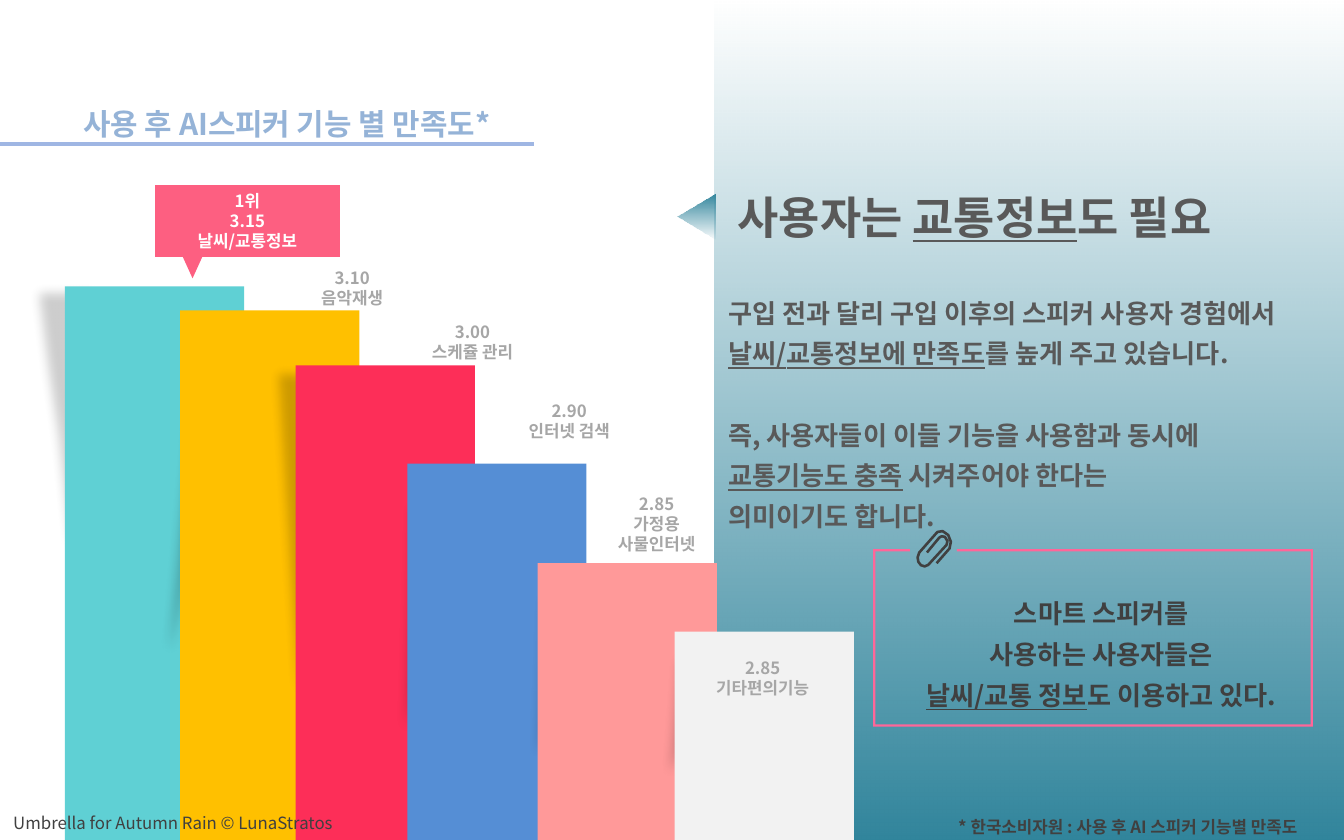
import pptx
import pptx.util
import pptx.dml.color
import pptx.enum.shapes
import pptx.enum.text
import pptx.oxml.ns
import lxml.etree

Pt = pptx.util.Pt
RGB = pptx.dml.color.RGBColor
KIND = pptx.enum.shapes.MSO_SHAPE
ALIGN = pptx.enum.text.PP_ALIGN
FIT = pptx.enum.text.MSO_AUTO_SIZE
qn = pptx.oxml.ns.qn

FONT = "Noto Sans CJK KR"
WIDE, HIGH = 720, 450
BLACK, WHITE = RGB(0, 0, 0), RGB(255, 255, 255)
DARK, GRAY, PALE = RGB(0x40, 0x40, 0x40), RGB(0x59, 0x59, 0x59), RGB(0xA6, 0xA6, 0xA6)
TEAL, SKY, RULE = RGB(0x31, 0x85, 0x9C), RGB(0x95, 0xB3, 0xD7), RGB(0x9F, 0xB6, 0xE3)
PINK, ROSE = RGB(0xFD, 0x5F, 0x81), RGB(0xFF, 0x66, 0x99)

# left, top, colour, shadow (left, top, width, height, turn)
BAR = 96
BARS = [
    (34.8, 153.4, RGB(0x5F, 0xD0, 0xD4), None),
    (96.5, 166.3, RGB(0xFF, 0xC0, 0x00), (67.7, 182.2, 41.8, 241.9, 194.7)),
    (158.4, 195.8, RGB(0xFD, 0x2E, 0x58), (133.9, 194.4, 34.6, 272.2, 183.8)),
    (218.2, 248.4, RGB(0x55, 0x8E, 0xD5), (191.5, 265, 41.8, 180, 194.7)),
    (288, 301.7, RGB(0xFF, 0x99, 0x99), (262.1, 313.2, 41.8, 132.5, 199.7)),
    (361.4, 338.4, RGB(0xF2, 0xF2, 0xF2), (333.4, 345.6, 41.8, 99.4, 207.2)),
]
# left, top, width, height, lines
LABELS = [
    (164.9, 140.4, 47.5, 27.4, ["3.10", "음악재생"]),
    (223.2, 169.2, 59.8, 27.4, ["3.00", "스케쥴 관리"]),
    (275, 211.7, 59.8, 27.4, ["2.90", "인터넷 검색"]),
    (323.3, 261.4, 56.9, 38.2, ["2.85", "가정용", "사물인터넷"]),
    (375.8, 349.2, 65.5, 27.4, ["2.85", "기타편의기능"]),
]
# Words between underscores are underlined
TITLE = ["사용 후 AI스피커 기능 별 만족도*"]
FIRST = ["1위", "3.15", "날씨/교통정보"]
HEAD = ["사용자는 _교통정보_도 필요"]
BODY = [
    "구입 전과 달리 구입 이후의 스피커 사용자 경험에서",
    "_날씨/교통정보에 만족도_를 높게 주고 있습니다.",
    "즉, 사용자들이 이들 기능을 사용함과 동시에",
    "_교통기능도 충족_ 시켜주어야 한다는",
    "의미이기도 합니다.",
]
NOTE = ["스마트 스피커를", "사용하는 사용자들은", "_날씨/교통 정보_도 이용하고 있다."]
SOURCE = ["* 한국소비자원 : 사용 후 AI 스피커 기능별 만족도"]
CREDIT = ["Umbrella for Autumn Rain © LunaStratos"]

SHADE = [(55.4, 151.2), (36.7, 385.9), (31.5, 295), (25.7, 240), (19.7, 199.5), (13.7, 151.2)]
CLIP = [
    (501.8, 301.7), (508.7, 293.8), (509.4, 290.2), (508, 286.6), (505, 284.5),
    (502.2, 285), (492.5, 296), (491.6, 298.6), (492, 301), (493.4, 302.8),
    (495.4, 303.4), (497.3, 302.6), (507.1, 291.9), (507.6, 289.9), (506.2, 287.6),
    (504.5, 287.3), (503.2, 288), (496.6, 296),
]


def put(page, kind, box, color, turn=0):
    shape = page.shapes.add_shape(kind, *map(Pt, box))
    shape.rotation = turn
    shape.shadow.inherit = False
    shape.line.fill.background()
    shape.fill.solid()
    shape.fill.fore_color.rgb = color
    return shape


def trace(page, dots, closed=True):
    dots = [(Pt(x), Pt(y)) for x, y in dots]
    path = page.shapes.build_freeform(*dots[0])
    path.add_line_segments(dots[1:], close=closed)
    shape = path.convert_to_shape()
    shape.shadow.inherit = False
    return shape


def soften(shape):
    """Make a shape a faint black shadow with blurred edges."""
    shape.line.fill.background()
    shape.fill.solid()
    shape.fill.fore_color.rgb = BLACK
    props = shape._element.spPr
    tone = props.find(qn("a:solidFill"))[0]
    lxml.etree.SubElement(tone, qn("a:alpha"), val="20000")
    edge = props.find(qn("a:effectLst"))
    lxml.etree.SubElement(edge, qn("a:softEdge"), rad=str(int(Pt(6))))


def fade(shape, start, end, angle):
    """Fill with teal that runs from one opacity to another."""
    fill = shape.fill
    fill.gradient()
    fill.gradient_angle = angle
    for place, stop in enumerate(fill.gradient_stops):
        stop.position = place
        stop.color.rgb = TEAL
    tones = shape._element.spPr.iter(qn("a:srgbClr"))
    for tone, alpha in zip(list(tones), (start, end)):
        lxml.etree.SubElement(tone, qn("a:alpha"), val=str(alpha * 1000))


def write(frame, lines, size, color, bold=True, align=None, space=None):
    for i, line in enumerate(lines):
        para = frame.paragraphs[0] if i == 0 else frame.add_paragraph()
        para.alignment = align
        para.line_spacing = space
        for j, part in enumerate(line.split("_")):
            if not part:
                continue
            run = para.add_run()
            run.text = part
            font = run.font
            font.name, font.size, font.bold = FONT, Pt(size), bold
            font.color.rgb = color
            font.underline = j % 2 == 1
            lxml.etree.SubElement(run._r.get_or_add_rPr(), qn("a:ea"), typeface=FONT)


def text(page, box, lines, size, color, wrap=True, slim=False, **look):
    frame = page.shapes.add_textbox(*map(Pt, box)).text_frame
    frame.word_wrap = wrap
    frame.auto_size = FIT.SHAPE_TO_FIT_TEXT
    if slim:
        frame.margin_left = frame.margin_right = Pt(5.76)
        frame.margin_top = frame.margin_bottom = Pt(2.88)
    write(frame, lines, size, color, **look)
    return frame


def main():
    deck = pptx.Presentation()
    deck.slide_width, deck.slide_height = Pt(WIDE), Pt(HIGH)
    page = deck.slides.add_slide(deck.slide_layouts[6])

    edge = 383
    panel = put(page, KIND.RECTANGLE, (edge, 0, WIDE - edge, HIGH), TEAL)
    fade(panel, 0, 100, 270)
    mark = put(page, KIND.ISOSCELES_TRIANGLE, (360.9, 105.9, 24.5, 20.2), TEAL, 270)
    fade(mark, 100, 0, 180)

    soften(trace(page, SHADE))
    for left, top, color, shade in BARS:
        if shade:
            soften(put(page, KIND.RIGHT_TRIANGLE, shade[:4], BLACK, shade[4]))
        put(page, KIND.RECTANGLE, (left, top, BAR, HIGH - top), color)
    for *box, lines in LABELS:
        text(page, box, lines, 9, PALE, wrap=False, slim=True, align=ALIGN.CENTER)

    rule = page.shapes.add_connector(
        pptx.enum.shapes.MSO_CONNECTOR.STRAIGHT, Pt(0), Pt(77), Pt(286), Pt(77))
    rule.line.color.rgb, rule.line.width = RULE, Pt(2.25)
    lxml.etree.SubElement(rule._element.spPr, qn("a:effectLst"))
    text(page, (38.9, 43.9, 270, 31), TITLE, 16, SKY, slim=True, space=1.5)

    put(page, KIND.ISOSCELES_TRIANGLE, (95.6, 132.5, 15.1, 16.6), PINK, 180)
    first = put(page, KIND.FLOWCHART_PROCESS, (82.8, 98.9, 99.4, 38.9), PINK).text_frame
    first.vertical_anchor = pptx.enum.text.MSO_ANCHOR.MIDDLE
    write(first, FIRST, 9, WHITE, align=ALIGN.CENTER)

    text(page, (388.1, 97.9, 348.5, 36), HEAD, 24, GRAY)
    body = text(page, (383, 150.5, 361.4, 183.6), BODY, 14, GRAY, space=1.3)
    body.paragraphs[2].space_before = Pt(21.8)

    left, top, right, base, thick = 467.8, 294.2, 703.4, 389.3, 1.2
    gap, rest = 487.4, 512.6
    frame = trace(page, [
        (left, top), (gap, top), (gap, top + thick), (left + thick, top + thick),
        (left + thick, base - thick), (right - thick, base - thick),
        (right - thick, top + thick), (rest, top + thick), (rest, top),
        (right, top), (right, base), (left, base)])
    frame.fill.solid()
    frame.fill.fore_color.rgb = ROSE
    frame.line.fill.background()
    clip = trace(page, CLIP, closed=False)
    clip.fill.background()
    clip.line.color.rgb, clip.line.width = DARK, Pt(1.4)
    note = text(page, (480.2, 308.2, 219.6, 77), NOTE, 14, DARK, align=ALIGN.CENTER, space=1.3)
    note.paragraphs[0].line_spacing = 1.5

    text(page, (507.6, 429.1, 218.9, 20.2), SOURCE, 9, DARK, wrap=False, slim=True, space=1.5)
    text(page, (0, 432, 213.8, 18), CREDIT, 9, DARK, bold=False)
    deck.save("out.pptx")


if __name__ == "__main__":
    main()
